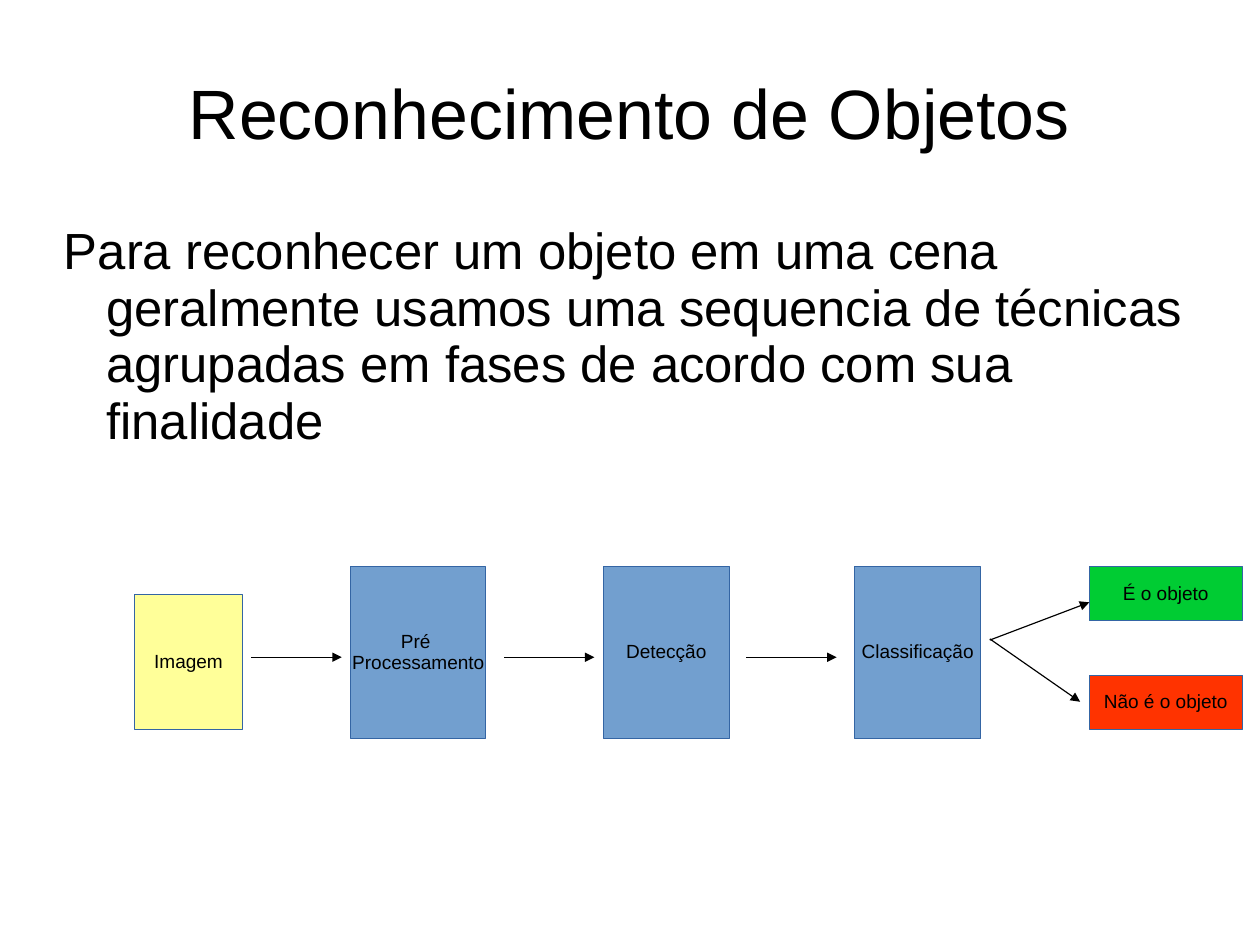
"""Builds the object recognition slide with its processing flow."""
from typing import NamedTuple

from lxml.etree import SubElement
from pptx import Presentation
from pptx.dml.color import RGBColor
from pptx.enum.shapes import MSO_CONNECTOR, MSO_SHAPE
from pptx.enum.text import MSO_ANCHOR, PP_ALIGN
from pptx.oxml.ns import qn
from pptx.util import Inches, Pt


class Box(NamedTuple):
    text: str
    left: float
    top: float
    width: float
    height: float
    fill: str


class Arrow(NamedTuple):
    x1: float
    y1: float
    x2: float
    y2: float


CM_PER_INCH = 2.54
BLUE = "729FCF"
FLOW_Y, STEP_TOP, STEP_H = 5.75, 4.96, 1.5
RESULT_X, RESULT_W, RESULT_H = 9.53, 1.34, 0.47

BOXES = [
    Box("Imagem", 1.18, 5.2, 0.94, 1.18, "FFFF99"),
    Box("Pré \nProcessamento", 3.07, STEP_TOP, 1.18, STEP_H, BLUE),
    Box("Detecção", 5.28, STEP_TOP, 1.1, STEP_H, BLUE),
    Box("Classificação", 7.48, STEP_TOP, 1.1, STEP_H, BLUE),
    Box("É o objeto", RESULT_X, STEP_TOP, RESULT_W, RESULT_H, "00CC33"),
    Box("Não é o objeto", RESULT_X, 5.91, RESULT_W, RESULT_H, "FF3300"),
]
ARROWS = [Arrow(x, FLOW_Y, x + 0.79, FLOW_Y) for x in (2.2, 4.41, 6.53)] + [
    Arrow(8.66, 5.6, RESULT_X, 5.27),
    Arrow(8.66, 5.59, 9.45, 6.14),
]


def rgb(color: str) -> RGBColor:
    return RGBColor.from_string(color)


def write(sp, text: str, *, size: float, align=PP_ALIGN.CENTER,
          anchor=MSO_ANCHOR.MIDDLE, wrap: bool = True,
          margins: tuple = (0, 0), hanging: tuple = (0, 0)) -> None:
    tf = sp.text_frame
    tf.word_wrap = wrap
    tf.vertical_anchor = anchor
    tf.margin_left = tf.margin_right = Inches(margins[0])
    tf.margin_top = tf.margin_bottom = Inches(margins[1])
    tf.text = text
    for p in tf.paragraphs:
        p.alignment = align
        p.line_spacing = 0.93
        pPr = p._p.get_or_add_pPr()
        pPr.set("marL", str(Inches(hanging[0])))
        pPr.set("indent", str(Inches(hanging[1])))
        for r in p.runs:
            r.font.name = "Arial"
            r.font.size = Pt(size)
            r.font.color.rgb = rgb("000000")


def add_text(s, text: str, left: float, top: float, width: float,
             height: float, **fmt) -> None:
    sp = s.shapes.add_textbox(*map(Inches, (left, top, width, height)))
    write(sp, text, **fmt)


def add_box(s, box: Box) -> None:
    sp = s.shapes.add_shape(MSO_SHAPE.RECTANGLE, *map(Inches, box[1:5]))
    sp.shadow.inherit = False
    sp.fill.solid()
    sp.fill.fore_color.rgb = rgb(box.fill)
    sp.line.color.rgb = rgb("3465A4")
    sp.line.width = Pt(0.75)
    write(sp, box.text, size=12, wrap=False, margins=(0.1, 0.05))


def add_arrow(s, arrow: Arrow) -> None:
    cn = s.shapes.add_connector(MSO_CONNECTOR.STRAIGHT, *map(Inches, arrow))
    cn.line.color.rgb = rgb("000000")
    cn.line.width = Pt(0.75)
    SubElement(cn.line._get_or_add_ln(), qn("a:tailEnd"), type="triangle")
    SubElement(cn._element.spPr, qn("a:effectLst"))


def main() -> None:
    prs = Presentation()
    prs.slide_width = Inches(28 / CM_PER_INCH)
    prs.slide_height = Inches(21 / CM_PER_INCH)
    s = prs.slides.add_slide(prs.slide_layouts[6])
    add_text(s, "Reconhecimento de Objetos", 0.55, 0.33, 9.92, 1.38, size=44)
    add_text(s, "Para reconhecer um objeto em uma cena geralmente usamos uma "
             "sequencia de técnicas agrupadas em fases de acordo com sua "
             "finalidade", 0.55, 1.93, 9.92, 4.79, size=32,
             align=PP_ALIGN.LEFT, anchor=MSO_ANCHOR.TOP,
             margins=(0, 0.03), hanging=(0.38, -0.37))
    for box in BOXES:
        add_box(s, box)
    for arrow in ARROWS:
        add_arrow(s, arrow)
    prs.save("out.pptx")


if __name__ == "__main__":
    main()
